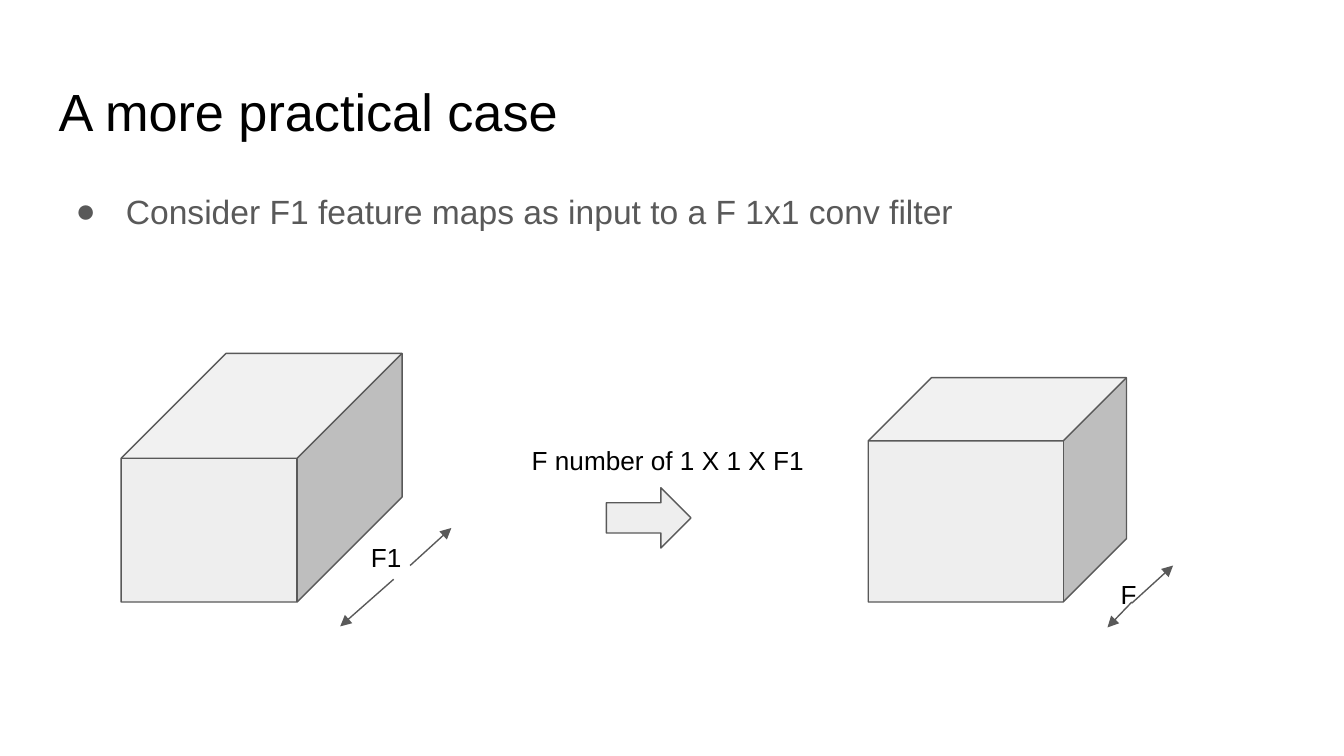
from typing import NamedTuple

from lxml.etree import SubElement
from pptx import Presentation
from pptx.dml.color import RGBColor
from pptx.enum.shapes import MSO_CONNECTOR as Connector, MSO_SHAPE as Preset
from pptx.oxml.ns import qn
from pptx.util import Cm, Pt

FONT = "Arial"
BLACK, GREY, PALE = "000000", "595959", "EEEEEE"
LINE_WIDTH = Pt(0.75)


class Box(NamedTuple):
    left: float
    top: float
    width: float
    height: float


class Label(NamedTuple):
    text: str
    box: Box
    size: int = 14
    color: str = BLACK


class Solid(NamedTuple):
    preset: Preset
    box: Box
    adjustments: tuple[float, ...]


class Arrow(NamedTuple):
    start: tuple[float, float]
    end: tuple[float, float]


def rgb(color: str) -> RGBColor:
    return RGBColor.from_string(color)


def draw_label(slide, label: Label):
    frame = slide.shapes.add_textbox(*map(Cm, label.box)).text_frame
    frame.word_wrap = True
    frame.margin_left = frame.margin_right = Cm(0.25)
    frame.margin_top = frame.margin_bottom = Cm(0.25)
    frame.text = label.text
    paragraph = frame.paragraphs[0]
    font = paragraph.runs[0].font
    font.name, font.size = FONT, Pt(label.size)
    font.color.rgb = rgb(label.color)
    return paragraph


def add_bullet(paragraph, color: str) -> None:
    paragraph.line_spacing = 1.15
    properties = paragraph._p.get_or_add_pPr()
    properties.set("marL", str(Cm(1.27)))
    properties.set("indent", str(-Cm(0.95)))
    bullet_color = SubElement(properties, qn("a:buClr"))
    SubElement(bullet_color, qn("a:srgbClr"), val=color)
    SubElement(properties, qn("a:buFont"), typeface=FONT)
    SubElement(properties, qn("a:buChar"), char="●")


def draw_solid(slide, solid: Solid) -> None:
    shape = slide.shapes.add_shape(solid.preset, *map(Cm, solid.box))
    for index, value in enumerate(solid.adjustments):
        shape.adjustments[index] = value
    shape.shadow.inherit = False
    shape.fill.solid()
    shape.fill.fore_color.rgb = rgb(PALE)
    shape.line.color.rgb = rgb(GREY)
    shape.line.width = LINE_WIDTH


def draw_arrow(slide, arrow: Arrow) -> None:
    connector = slide.shapes.add_connector(
        Connector.STRAIGHT, *map(Cm, arrow.start + arrow.end))
    connector.line.color.rgb = rgb(GREY)
    connector.line.width = LINE_WIDTH
    SubElement(connector.line._get_or_add_ln(), qn("a:tailEnd"), type="triangle")
    SubElement(connector._element.spPr, qn("a:effectLst"))


TITLE = Label("A more practical case", Box(0.86, 1.24, 23.67, 1.6), 28)
POINT = Label("Consider F1 feature maps as input to a F 1x1 conv filter",
              Box(0.86, 3.25, 23.67, 9.5), 18, GREY)

# Input and output feature maps, with the step between them
SOLIDS = [
    Solid(Preset.CUBE, Box(2.29, 6.68, 5.31, 4.7), (0.422,)),
    Solid(Preset.CUBE, Box(16.41, 7.14, 4.88, 4.24), (0.282,)),
    Solid(Preset.RIGHT_ARROW, Box(11.46, 9.22, 1.6, 1.14), (0.5, 0.5)),
]
CAPTIONS = [
    Label("F1", Box(6.76, 9.98, 2.31, 1.4)),
    Label("F", Box(20.93, 10.69, 2.31, 1.4)),
    Label("F number of 1 X 1 X F1", Box(9.8, 8.15, 6.05, 1.4)),
]
DEPTH_ARROWS = [
    Arrow((7.44, 10.95), (6.43, 11.84)),
    Arrow((7.75, 10.69), (8.53, 9.98)),
    Arrow((21.39, 11.38), (20.93, 11.86)),
    Arrow((21.39, 11.4), (22.17, 10.69)),
]


def main() -> None:
    deck = Presentation()
    deck.slide_width, deck.slide_height = Cm(25.4), Cm(14.29)
    slide = deck.slides.add_slide(deck.slide_layouts[6])

    # Heading and bullet point
    draw_label(slide, TITLE)
    add_bullet(draw_label(slide, POINT), GREY)

    # Diagram
    for solid in SOLIDS:
        draw_solid(slide, solid)
    for caption in CAPTIONS:
        draw_label(slide, caption)
    for arrow in DEPTH_ARROWS:
        draw_arrow(slide, arrow)

    deck.save("out.pptx")


if __name__ == "__main__":
    main()
